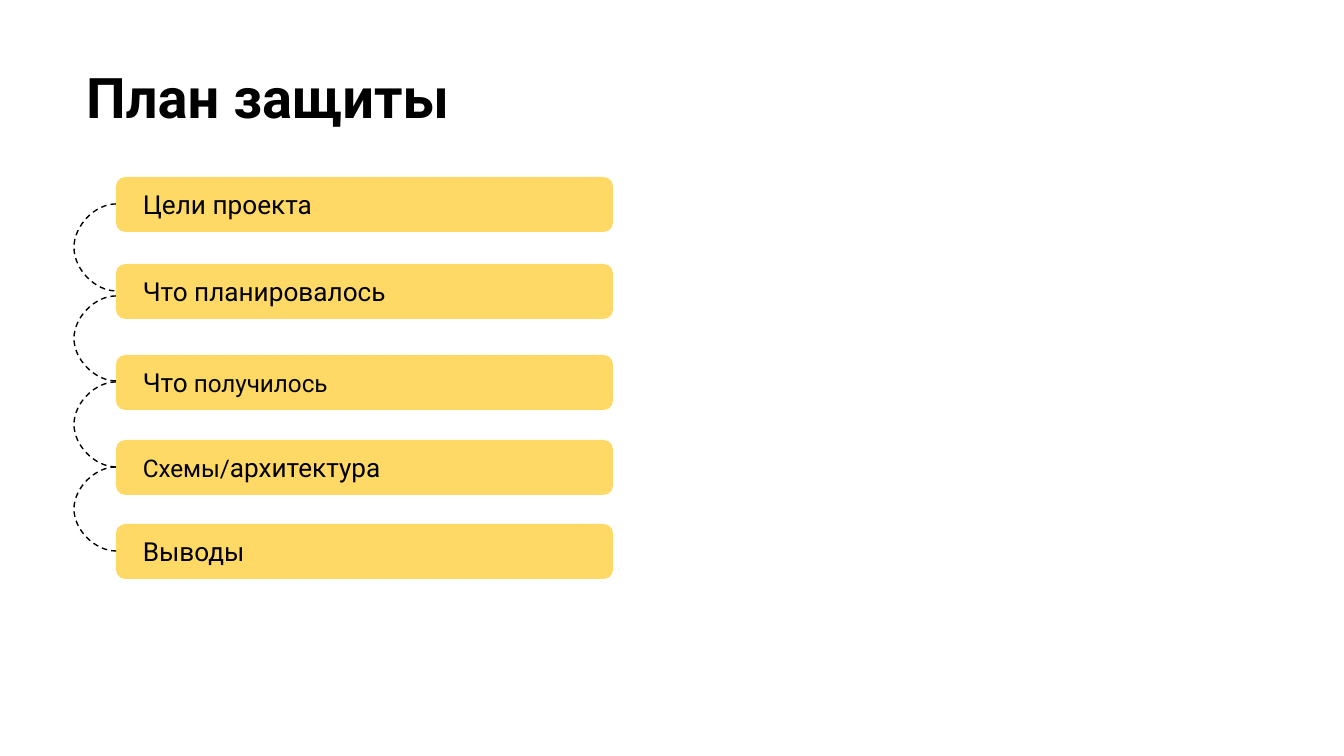
from lxml import etree
from pptx import Presentation
from pptx import util as u
from pptx.dml.color import RGBColor
from pptx.enum import dml, shapes, text
from pptx.oxml.ns import qn

PX = 914400 / 134.4
FONT = "Roboto"
BLACK, NEAR_BLACK, YELLOW = "000000", "050505", "FFD966"

TITLE = [("План защиты", 30, BLACK)]
# Top of each bar in px, then its runs: wording, size, colour
STEPS = [
    (177, [("Цели проекта", 14, BLACK)]),
    (264, [("Что планировалось", 14, BLACK)]),
    (355, [("Что", 14, BLACK), (" получилось", 13, NEAR_BLACK)]),
    (440, [("Схемы/", 13, BLACK), ("архитектура", 14, BLACK)]),
    (524, [("Выводы", 14, BLACK)]),
]
# Start and end height of each curve in px
CURVES = [(204, 291), (296, 381), (382, 467), (467, 551)]
BAR_LEFT, BAR_WIDTH, BAR_HEIGHT = 116, 497, 55
BULGE = 35  # reach of each curve to the left of the bars


def px(*lengths):
    return [u.Emu(round(length * PX)) for length in lengths]


def color(value):
    return RGBColor.from_string(value)


def write(shape, runs, side, anchor, bold=False):
    frame = shape.text_frame
    frame.word_wrap = True
    frame.vertical_anchor = anchor
    frame.margin_left = frame.margin_right = u.Inches(side)
    frame.margin_top = frame.margin_bottom = u.Inches(0.1)
    para = frame.paragraphs[0]
    para.alignment = text.PP_ALIGN.LEFT
    for wording, size, tint in runs:
        span = para.add_run()
        span.text = wording
        span.font.name = FONT
        span.font.size = u.Pt(size)
        span.font.bold = bold
        span.font.color.rgb = color(tint)


def add_bar(page, top, runs):
    bar = page.shapes.add_shape(shapes.MSO_SHAPE.ROUNDED_RECTANGLE,
                                *px(BAR_LEFT, top, BAR_WIDTH, BAR_HEIGHT))
    bar.shadow.inherit = False
    bar.fill.solid()
    bar.fill.fore_color.rgb = color(YELLOW)
    bar.line.fill.background()
    write(bar, runs, 0.18, text.MSO_ANCHOR.MIDDLE)


def add_curve(page, start, end):
    curve = page.shapes.add_connector(shapes.MSO_CONNECTOR.CURVE,
                                      *px(BAR_LEFT, start, BAR_LEFT, end))
    # The bulge is a share of the width, so the width must not be zero
    curve.width = u.Emu(600)
    share = round(-BULGE * PX / curve.width * 100000)
    properties = curve._element.spPr
    guides = properties.find(qn("a:prstGeom")).get_or_add_avLst()
    etree.SubElement(guides, qn("a:gd"), name="adj1", fmla=f"val {share}")
    curve.line.color.rgb = color(BLACK)
    curve.line.width = u.Pt(0.75)
    curve.line.dash_style = dml.MSO_LINE.DASH
    etree.SubElement(properties, qn("a:effectLst"))


deck = Presentation()
deck.slide_width, deck.slide_height = px(1344, 756)
page = deck.slides.add_slide(deck.slide_layouts[6])

# Title
box = page.shapes.add_textbox(*px(73, 49, 1253, 161))
write(box, TITLE, 0.1, text.MSO_ANCHOR.TOP, bold=True)

# Steps
for top, runs in STEPS:
    add_bar(page, top, runs)

# Dashed curves from each step to the next
for start, end in CURVES:
    add_curve(page, start, end)

deck.save("out.pptx")
